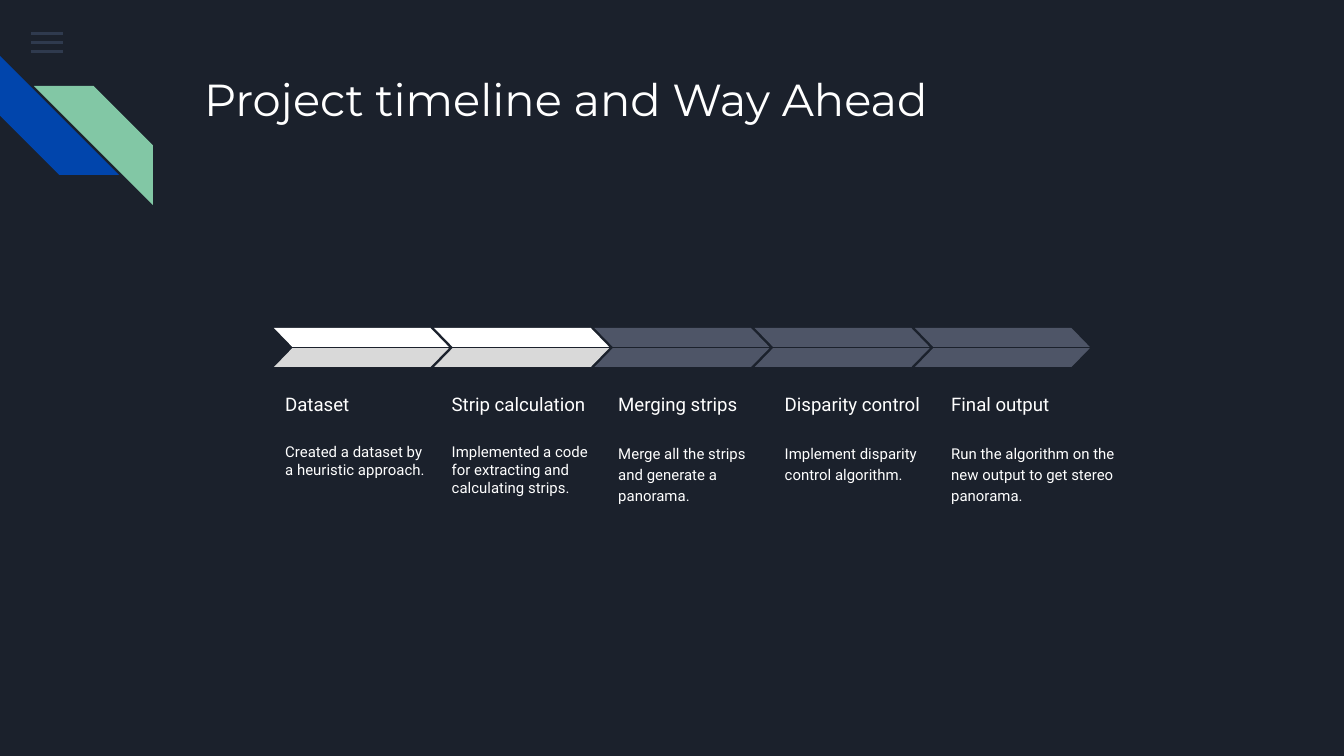
from lxml import etree
from pptx import Presentation
from pptx import util as u
from pptx.dml.color import RGBColor
from pptx.enum import shapes, text
from pptx.oxml.ns import qn

COLORS = {
    "background": "1B212C", "text": "FFFFFF", "menu": "55688B",
    "blue": "0145AC", "green": "82C7A5",
    "done_top": "FFFFFF", "done_bottom": "D9D9D9", "planned": "4E5567",
}
TITLE = "Project timeline and Way Ahead"
# heading, description, done, description width, line spacing
STEPS = [
    ("Dataset", "Created a dataset by a heuristic approach.", True, 168, 1.0),
    ("Strip calculation", "Implemented a code for extracting and calculating strips.",
     True, 168, 1.0),
    ("Merging strips", "Merge all the strips and generate a panorama.", False, 168, 1.15),
    ("Disparity control", "Implement disparity control algorithm.", False, 168, 1.15),
    ("Final output", "Run the algorithm on the new output to get stereo panorama.",
     False, 194, 1.15),
]
EMU_PER_PX = 914400 / 134.4
TEXT_LEFT, TEXT_SPAN = 272, 666
ARROW_LEFT, ARROW_SPAN = 274, 641


def px(value):
    return u.Emu(round(value * EMU_PER_PX))


def add_block(page, kind, place, color, adjust=None, flip=False, turn=0, alpha=None):
    """Add a filled shape without outline or shadow; alpha is in percent."""
    shape = page.shapes.add_shape(kind, *map(px, place))
    shape.shadow.inherit = False
    shape.fill.solid()
    shape.fill.fore_color.rgb = RGBColor.from_string(COLORS[color])
    shape.line.fill.background()
    shape.rotation = turn
    if adjust is not None:
        shape.adjustments[0] = adjust
    if flip:
        shape._element.spPr.get_or_add_xfrm().set("flipH", "1")
    if alpha is not None:
        tint = shape._element.spPr.find(".//" + qn("a:srgbClr"))
        etree.SubElement(tint, qn("a:alpha")).set("val", str(alpha * 1000))


def add_text(page, place, words, size, font, anchor=text.MSO_ANCHOR.TOP, spacing=1.0):
    box = page.shapes.add_textbox(*map(px, place))
    frame = box.text_frame
    frame.word_wrap = True
    frame.vertical_anchor = anchor
    frame.margin_left = frame.margin_right = u.Inches(0.1)
    frame.margin_top = frame.margin_bottom = u.Inches(0.1)
    para = frame.paragraphs[0]
    para.line_spacing = spacing
    span = para.add_run()
    span.text = words
    span.font.size = u.Pt(size)
    span.font.name = font
    span.font.color.rgb = RGBColor.from_string(COLORS["text"])


def add_decoration(page):
    for row in range(3):
        add_block(page, shapes.MSO_SHAPE.RECTANGLE, (31, 32 + row * 9, 32, 3),
                  "menu", alpha=36)
    stripe = shapes.MSO_SHAPE.DIAGONAL_STRIPE
    add_block(page, stripe, (0, 56, 119, 119), "blue", 0.5, turn=270)
    add_block(page, stripe, (34, 86, 119, 119), "green", 0.5, flip=True)


def add_timeline(page):
    gaps = len(STEPS) - 1
    for index, (heading, detail, done, width, spacing) in enumerate(STEPS):
        left = TEXT_LEFT + index * TEXT_SPAN / gaps
        add_text(page, (left, 368, 168, 59), heading, 10, "Roboto",
                 text.MSO_ANCHOR.BOTTOM)
        add_text(page, (left, 429, width, 98), detail, 8, "Roboto", spacing=spacing)

        left = ARROW_LEFT + index * ARROW_SPAN / gaps
        halves = ("done_top", "done_bottom") if done else ("planned", "planned")
        for top, color, flip in zip((328, 348), halves, (True, False)):
            add_block(page, shapes.MSO_SHAPE.PARALLELOGRAM, (left, top, 175, 19),
                      color, 0.97, flip)


def main():
    deck = Presentation()
    deck.slide_width, deck.slide_height = px(1344), px(756)
    page = deck.slides.add_slide(deck.slide_layouts[6])
    page.background.fill.solid()
    page.background.fill.fore_color.rgb = RGBColor.from_string(COLORS["background"])
    add_decoration(page)
    add_text(page, (191, 58, 1035, 134), TITLE, 24, "Montserrat")
    add_timeline(page)
    deck.save("out.pptx")


if __name__ == "__main__":
    main()
